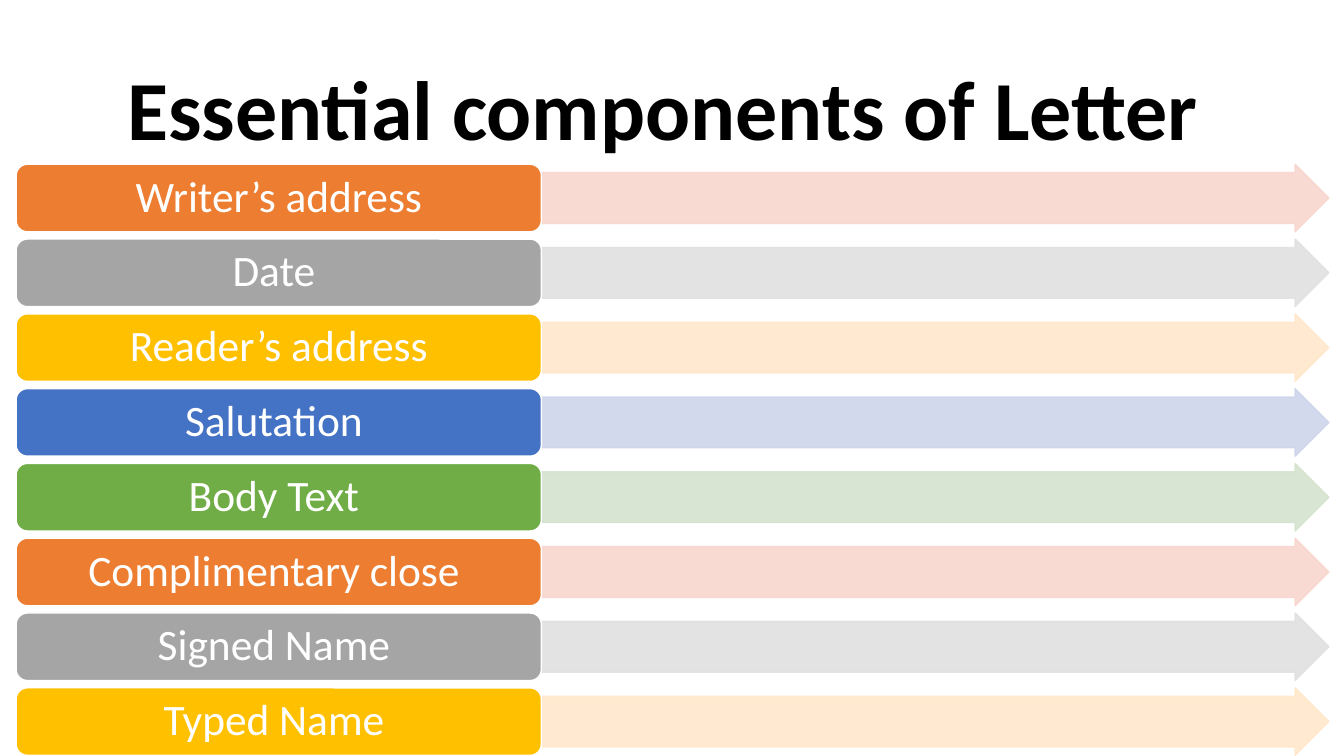
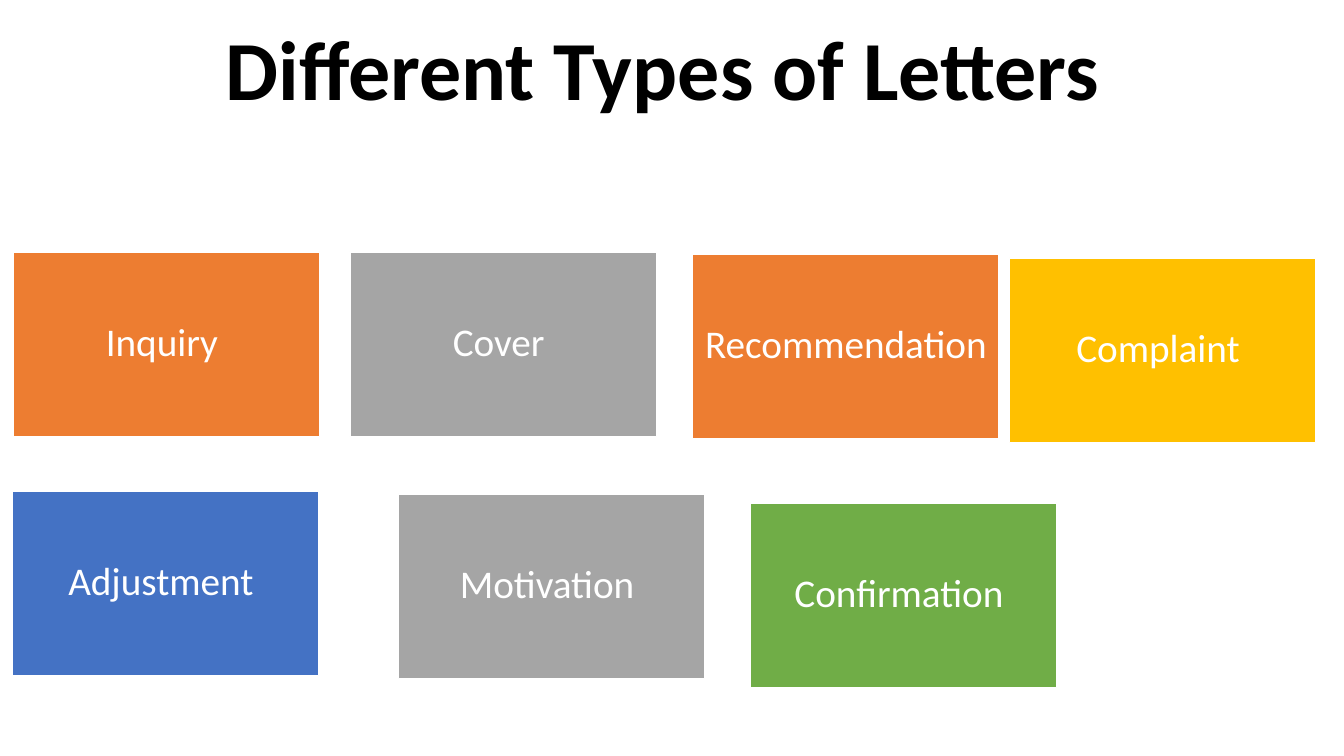
from dataclasses import dataclass

from lxml import etree
from pptx import Presentation
from pptx.dml.color import RGBColor
from pptx.enum.shapes import MSO_SHAPE
from pptx.enum.text import MSO_ANCHOR, PP_ALIGN
from pptx.oxml.ns import qn
from pptx.util import Pt

ARROW, ROUND, RECT = MSO_SHAPE.RIGHT_ARROW, MSO_SHAPE.ROUNDED_RECTANGLE, MSO_SHAPE.RECTANGLE
MIDDLE, CENTER = MSO_ANCHOR.MIDDLE, PP_ALIGN.CENTER
PX = 9144  # EMU per px, 100 px to the inch


@dataclass(frozen=True)
class Theme:
    font: str = "Calibri"
    ink: str = "000000"
    paper: str = "FFFFFF"
    title: int = 60
    row: int = 31
    card: int = 28
    leading: float = 0.9


THEME = Theme()
# name: (solid colour, pale tint)
COLORS = {
    "orange": ("ED7D31", "F8D7CE"),
    "gray": ("A5A5A5", "E1E1E1"),
    "gold": ("FFC000", "FFE8CC"),
    "blue": ("4472C4", "CFD5EA"),
    "green": ("70AD47", "D5E3CF"),
}

PARTS_TITLE = "Essential components of Letter "
PARTS = ["Writer’s address", "Date ", "Reader’s address", "Salutation ",
         "Body Text ", "Complimentary close ", "Signed Name ", "Typed Name "]

TYPES_TITLE = "Different Types of Letters "
# text, colour, left, top
TYPES = [
    ("Inquiry ", "orange", 13, 250),
    ("Cover ", "gray", 347, 250),
    ("Recommendation ", "orange", 687, 252),
    ("Complaint ", "gold", 1001, 256),
    ("Adjustment ", "blue", 12, 487),
    ("Motivation ", "gray", 395, 490),
    ("Confirmation ", "green", 744, 499),
]

ROW_TOP, ROW_STEP, ROW_H = 163, 74.2, 67
LABEL_X, LABEL_W, ARROW_W = 16, 521, 781
CARD_W, CARD_H = 304, 183


def emu(*sizes):
    return [round(size * PX) for size in sizes]


def write(shape, text, size, color, bold=False, pad=(10, 5)):
    """Put one centred line in a shape; pad is (sides, top and bottom)."""
    frame = shape.text_frame
    frame.word_wrap = True
    frame.vertical_anchor = MIDDLE
    side, edge = emu(*pad)
    frame.margin_left = frame.margin_right = side
    frame.margin_top = frame.margin_bottom = edge
    frame.text = text
    para = frame.paragraphs[0]
    para.alignment = CENTER
    para.line_spacing = THEME.leading
    font = para.runs[0].font
    font.name, font.size, font.bold = THEME.font, Pt(size), bold
    font.color.rgb = RGBColor.from_string(color)


def block(slide, kind, box, fill, line):
    shape = slide.shapes.add_shape(kind, *emu(*box))
    shape.shadow.inherit = False
    shape.fill.solid()
    shape.fill.fore_color.rgb = RGBColor.from_string(fill)
    shape.line.color.rgb = RGBColor.from_string(line)
    shape.line.width = Pt(1)
    return shape


def fade(shape, percent):
    """Set the opacity of a shape's fill and line."""
    for color in shape._element.spPr.iter(qn("a:srgbClr")):
        etree.SubElement(color, qn("a:alpha")).set("val", str(percent * 1000))


def add_slide(deck, title, box):
    slide = deck.slides.add_slide(deck.slide_layouts[6])
    write(slide.shapes.add_textbox(*emu(*box)), title, THEME.title, THEME.ink, bold=True)
    return slide


def add_row(slide, text, hues, top):
    solid, pale = hues
    arrow = block(slide, ARROW, (LABEL_X + LABEL_W, top, ARROW_W, ROW_H), pale, pale)
    arrow.adjustments[0] = 0.75
    arrow.adjustments[1] = 0.5
    fade(arrow, 90)
    label = block(slide, ROUND, (LABEL_X, top, LABEL_W, ROW_H), solid, THEME.paper)
    write(label, text, THEME.row, THEME.paper, pad=(13, 6))


def main():
    deck = Presentation()
    deck.slide_width, deck.slide_height = emu(1333, 750)

    slide = add_slide(deck, PARTS_TITLE, (92, 40, 1150, 145))
    hues = list(COLORS.values())
    for i, text in enumerate(PARTS):
        add_row(slide, text, hues[i % len(hues)], ROW_TOP + i * ROW_STEP)

    slide = add_slide(deck, TYPES_TITLE, (12, 0, 1309, 145))
    for text, color, left, top in TYPES:
        card = block(slide, RECT, (left, top, CARD_W, CARD_H), COLORS[color][0], THEME.paper)
        write(card, text, THEME.card, THEME.paper, pad=(11, 11))

    deck.save("out.pptx")


if __name__ == "__main__":
    main()
